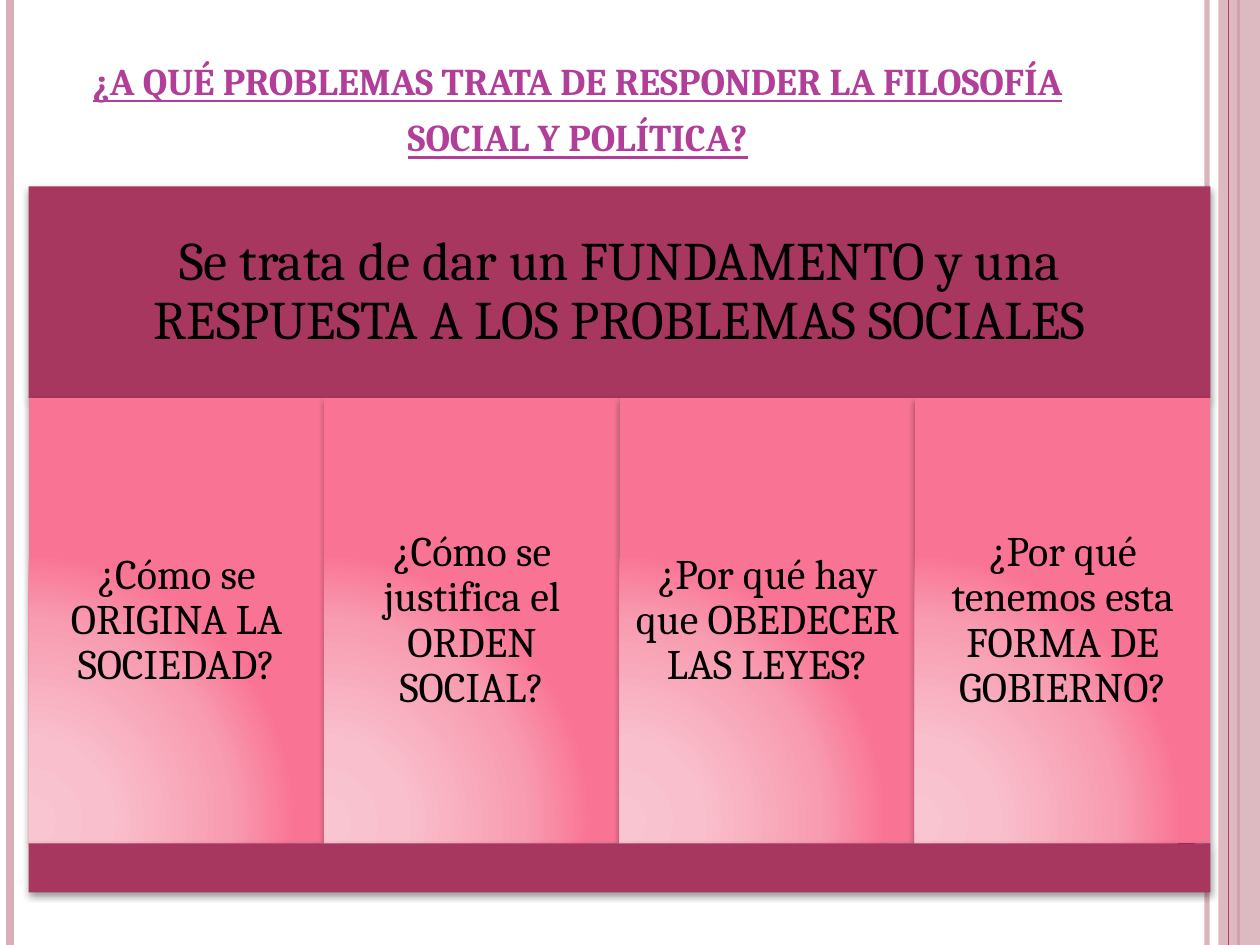
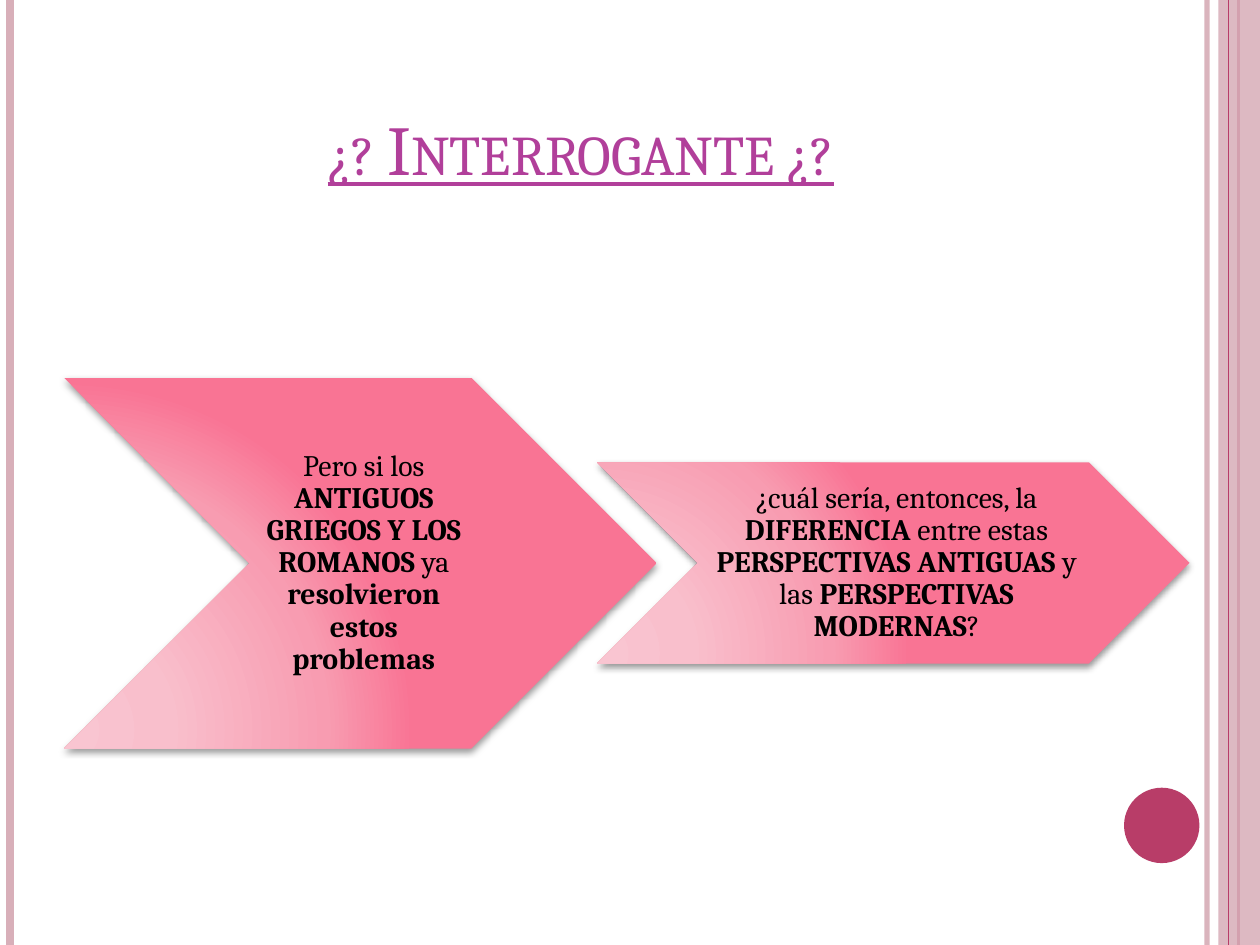
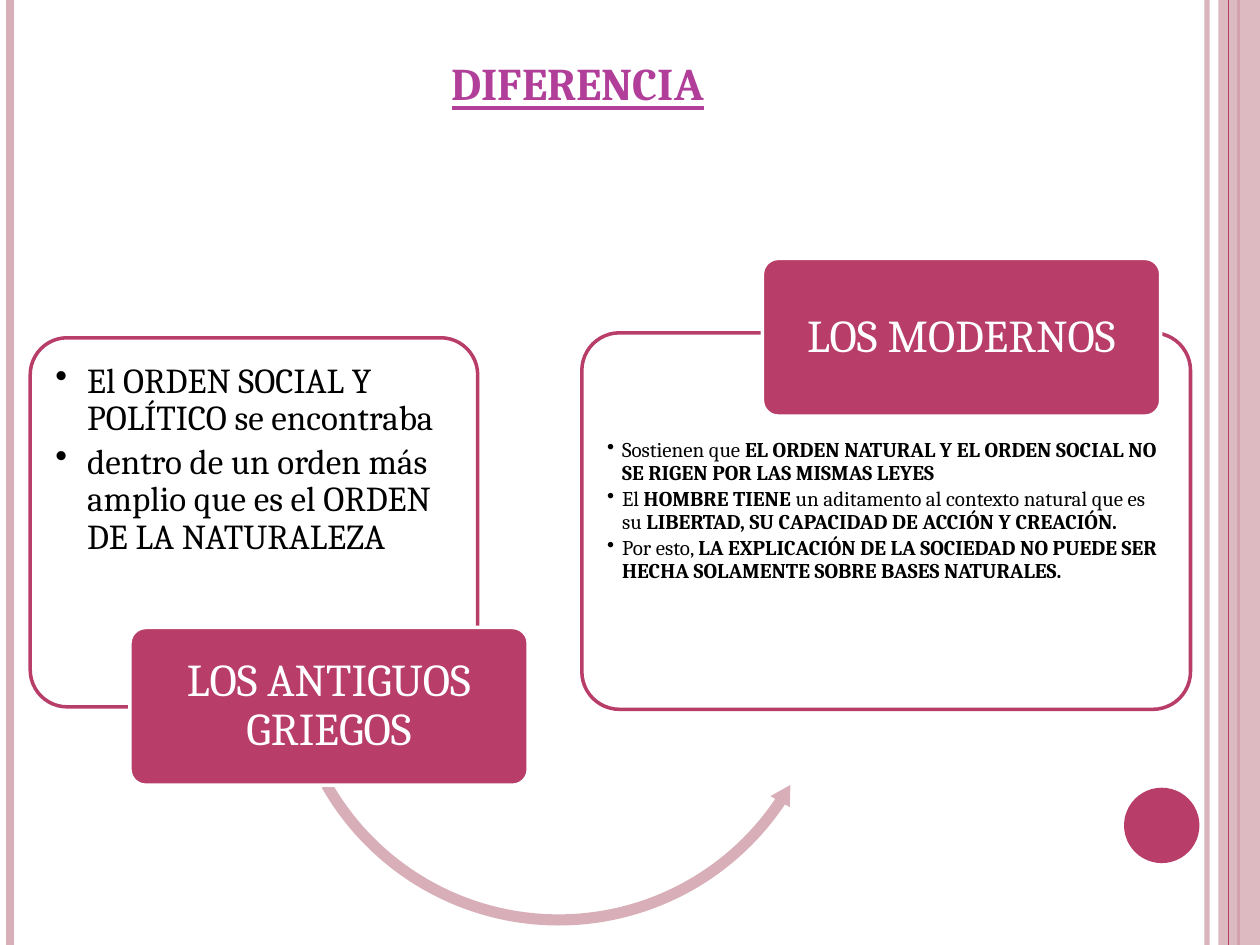
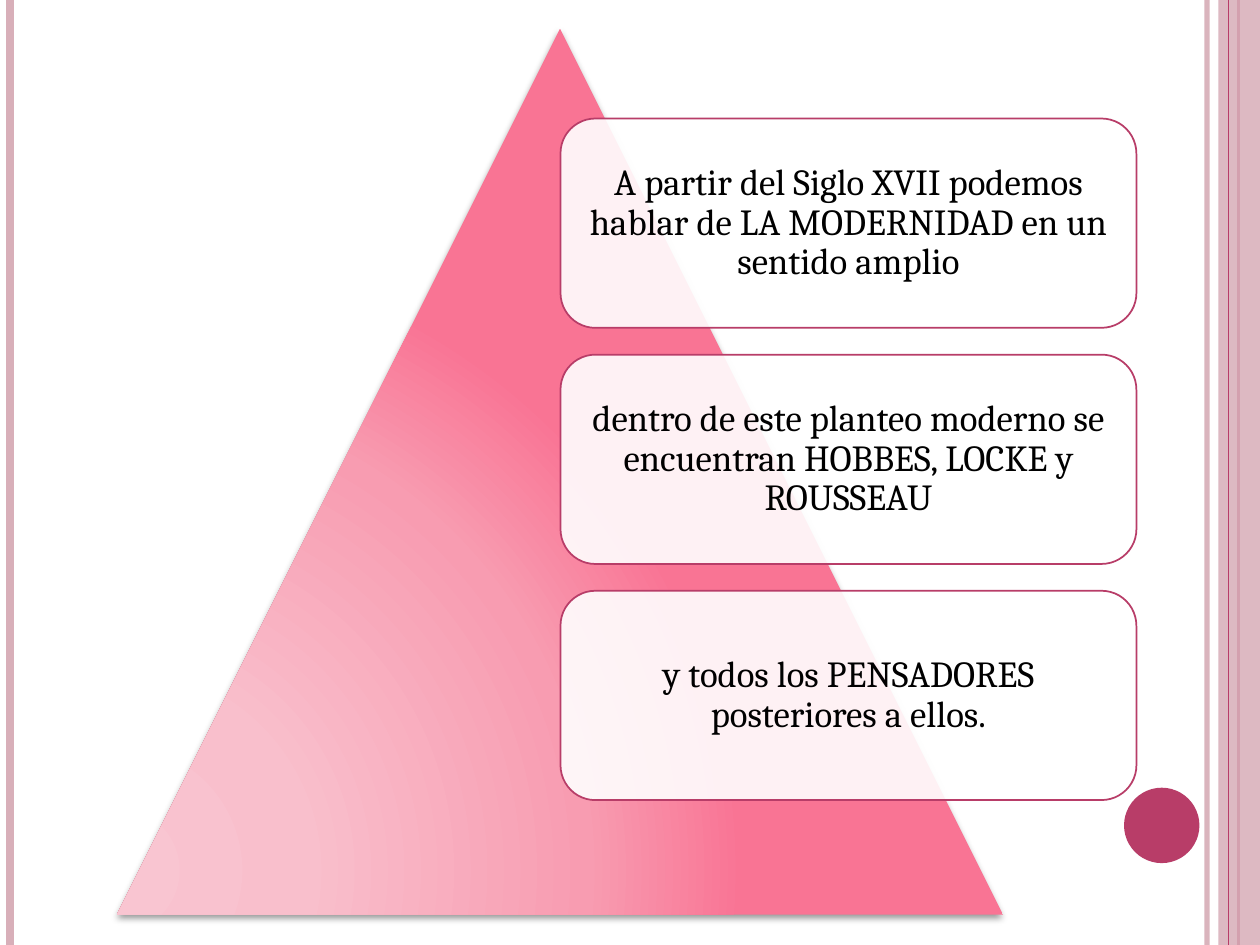
from lxml.etree import SubElement
from pptx import Presentation
from pptx.dml.color import RGBColor
from pptx.enum.shapes import MSO_CONNECTOR, MSO_SHAPE as Form
from pptx.enum.text import MSO_ANCHOR as Anchor, MSO_AUTO_SIZE as AutoSize, PP_ALIGN as Align
from pptx.oxml import parse_xml
from pptx.oxml.ns import nsdecls, qn
from pptx.util import Cm, Pt

FONT = "Cambria"
WHITE, BLACK = "FFFFFF", "000000"
ROSE, BERRY, WINE, VIOLET = "D8AFB9", "B83D68", "A7375E", "B13F9A"
GLOW = ((0, "F9C5D1"), (30, "F9BFCC"), (75, "F89CB1"), (100, "F97494"))
WIDTH, HEIGHT = 25.4, 19.05
TITLE_ONLY, BLANK = 5, 6


def paint(fill, color):
    """Give a fill, line or font one solid colour."""
    fill.solid()
    fill.fore_color.rgb = RGBColor.from_string(color)


def fade(shape, opacity):
    """Make the first solid colour of a shape partly transparent."""
    color = shape.element.spPr.find(".//" + qn("a:solidFill"))[0]
    SubElement(color, qn("a:alpha"), val=str(opacity * 1000))


def add_glow(shape):
    """Fill a shape with the pink gradient that spreads from its lower left."""
    shape.fill.background()
    stops = "".join(
        f'<a:gs pos="{place * 1000}"><a:srgbClr val="{color}"/></a:gs>' for place, color in GLOW
    )
    gradient = parse_xml(
        f'<a:gradFill {nsdecls("a")} rotWithShape="1"><a:gsLst>{stops}</a:gsLst>'
        '<a:path path="circle"><a:fillToRect l="5000" t="100000" r="120000" b="10000"/>'
        "</a:path></a:gradFill>"
    )
    properties = shape.element.spPr
    properties.replace(properties.find(qn("a:noFill")), gradient)


def add_shadow(shape):
    """Cast a soft shadow below a shape."""
    effects = shape.element.spPr.find(qn("a:effectLst"))
    effects.append(parse_xml(
        f'<a:outerShdw {nsdecls("a")} blurRad="{Pt(4)}" dist="{Pt(2)}" dir="5400000" '
        'rotWithShape="0"><a:srgbClr val="000000"><a:alpha val="40000"/></a:srgbClr></a:outerShdw>'
    ))


def add_block(slide, form, box, color=None, outline=None, weight=1, shadow=False):
    """Add a preset shape, glowing pink unless a colour is given."""
    block = slide.shapes.add_shape(form, *map(Cm, box))
    block.shadow.inherit = False
    if color:
        paint(block.fill, color)
    else:
        add_glow(block)
    if outline:
        paint(block.line.fill, outline)
        block.line.width = Pt(weight)
    else:
        block.line.fill.background()
    if shadow:
        add_shadow(block)
    return block


def add_rule(slide, x, color, weight):
    """Add a vertical line over the full height of the slide."""
    rule = slide.shapes.add_connector(MSO_CONNECTOR.STRAIGHT, Cm(x), 0, Cm(x), Cm(HEIGHT))
    paint(rule.line.fill, color)
    rule.line.width = Pt(weight)
    SubElement(rule.element.spPr, qn("a:effectLst"))
    return rule


def add_run(paragraph, text, size, color, bold=False):
    """Append one formatted run."""
    run = paragraph.add_run()
    run.text = text
    run.font.name = FONT
    run.font.size = Pt(size)
    run.font.bold = bold
    paint(run.font.fill, color)
    return run


def write(paragraph, pieces, size, color):
    """Write pieces that are plain and bold by turns."""
    paragraph.line_spacing = 0.9
    for index, piece in enumerate(pieces):
        add_run(paragraph, piece, size, color, bold=index % 2 == 1)


def set_frame(frame, insets, anchor):
    """Set wrapping, insets (left, top, right, bottom) and anchor of a text frame."""
    frame.word_wrap = True
    frame.vertical_anchor = anchor
    frame.margin_left, frame.margin_top, frame.margin_right, frame.margin_bottom = map(Cm, insets)


def add_caption(block, pieces, size, insets, color=BLACK):
    """Centre one paragraph in a shape."""
    set_frame(block.text_frame, insets, Anchor.MIDDLE)
    paragraph = block.text_frame.paragraphs[0]
    paragraph.alignment = Align.CENTER
    write(paragraph, pieces, size, color)


def add_bullets(block, items, size, indent, top):
    """List bulleted paragraphs from the top of a shape."""
    frame = block.text_frame
    set_frame(frame, (0.29, top, 0.29, 0.29), Anchor.TOP)
    for index, pieces in enumerate(items):
        paragraph = frame.add_paragraph() if index else frame.paragraphs[0]
        paragraph.alignment = Align.LEFT
        paragraph.level = 1
        paragraph.space_after = Pt(round(size * 0.15))
        write(paragraph, pieces, size, BLACK)
        properties = paragraph._p.get_or_add_pPr()
        properties.set("marL", str(Cm(indent)))
        properties.set("indent", str(-Cm(indent)))
        SubElement(properties, qn("a:buChar"), char="•")


def set_title(slide, text, box, size, bold=False):
    """Place the title and write it in underlined violet small capitals."""
    title = slide.shapes.title
    title.left, title.top, title.width, title.height = map(Cm, box)
    frame = title.text_frame
    frame.auto_size = AutoSize.NONE
    frame.vertical_anchor = Anchor.BOTTOM
    frame.paragraphs[0].alignment = Align.CENTER
    run = add_run(frame.paragraphs[0], text, size, VIOLET, bold)
    run.font.underline = True
    run.font._element.set("cap", "small")


def share_borders(slide, master):
    """Draw the side bands and the disc, and hand them to the master."""
    fade(add_rule(slide, 24.33, ROSE, 3), 93)
    add_rule(slide, 0.2, ROSE, 4.5)
    add_rule(slide, 24.97, BERRY, 1.5)
    fade(add_block(slide, Form.RECTANGLE, (24.56, 0, WIDTH - 24.56, HEIGHT), ROSE), 87)
    add_rule(slide, 24.77, BERRY, 0.75)
    add_block(slide, Form.OVAL, (22.66, 15.88, 1.52, 1.52), BERRY)
    borders = [shape for shape in slide.shapes if not shape.is_placeholder]
    for number, border in enumerate(borders, start=20):
        border.element.xpath(".//p:cNvPr")[0].set("id", str(number))
        master.element.cSld.spTree.append(border.element)


def build_problems(slide):
    """Fill the slide on the problems of social philosophy."""
    set_title(slide, "¿a qué problemas trata de responder la filosofía social y política?",
              (1.27, 1.4, 20.75, 1.98), 27, bold=True)
    left, width = 0.58, 23.82
    answer = add_block(slide, Form.RECTANGLE, (left, 3.76, width, 4.27), WINE, shadow=True)
    add_caption(answer, ["Se trata de dar un FUNDAMENTO y una RESPUESTA A LOS PROBLEMAS SOCIALES"],
                31, (0.33,) * 4)
    questions = (
        "¿Cómo se ORIGINA LA SOCIEDAD?",
        "¿Cómo se justifica el ORDEN SOCIAL?",
        "¿Por qué hay que OBEDECER LAS LEYES?",
        "¿Por qué tenemos esta FORMA DE GOBIERNO?",
    )
    column = width / len(questions)
    for index, question in enumerate(questions):
        box = (left + index * column, 8.03, column, 8.97)
        add_caption(add_block(slide, Form.RECTANGLE, box, shadow=True), [question], 24, (0.25,) * 4)
    add_block(slide, Form.RECTANGLE, (left, 17, width, 0.99), WINE, shadow=True)


def build_question(slide):
    """Fill the slide that asks for the difference."""
    set_title(slide, "¿? Interrogante ¿?", (1.4, 0.76, 20.62, 3.18), 40)
    steps = (
        ((1.3, 7.62, 11.94, 7.47),
         ["Pero si los ", "ANTIGUOS GRIEGOS Y LOS ROMANOS ", "ya ", "resolvieron estos problemas"]),
        ((12.04, 9.32, 11.94, 4.06),
         ["¿cuál sería, entonces, la ", "DIFERENCIA", " entre estas ", "PERSPECTIVAS ANTIGUAS",
          " y las ", "PERSPECTIVAS MODERNAS", "?"]),
    )
    for box, pieces in steps:
        step = add_block(slide, Form.CHEVRON, box, shadow=True)
        add_caption(step, pieces, 17, (0.18, 0.05, 0.05, 0.05))


def add_view(slide, box, items, size, indent, top):
    """Add an outlined card with the view of one group of thinkers."""
    view = add_block(slide, Form.ROUNDED_RECTANGLE, box, WHITE, BERRY, 2)
    view.adjustments[0] = 0.1
    fade(view, 90)
    add_bullets(view, items, size, indent, top)


def add_group_name(slide, left, top, name):
    """Add the solid label that names a group of thinkers."""
    label = add_block(slide, Form.ROUNDED_RECTANGLE, (left, top, 8.03, 3.18), BERRY, WHITE, 2)
    label.adjustments[0] = 0.1
    add_caption(label, [name], 26, (0.13, 0.1, 0.13, 0.1), WHITE)


def build_difference(slide):
    """Fill the slide that sets the ancients against the moderns."""
    set_title(slide, "diferencia", (1.27, 0.76, 20.75, 1.63), 32.4, bold=True)
    add_view(slide, (0.61, 6.81, 9.02, 7.44), (
        ["El ORDEN SOCIAL Y POLÍTICO se encontraba"],
        ["dentro de un orden más amplio que es el ORDEN DE LA NATURALEZA"],
    ), 20, 0.64, 0.29)
    passage = add_block(slide, Form.LEFT_CIRCULAR_ARROW, (5.66, 7.57, 11.2, 11.2), ROSE)
    for index, value in enumerate((0.02, 2.52, 20.28, 90.25, 0.02)):
        passage.adjustments[index] = value
    add_group_name(slide, 2.62, 12.65, "LOS ANTIGUOS GRIEGOS")
    add_view(slide, (11.73, 6.71, 12.27, 7.59), (
        ["Sostienen que ", "EL ORDEN NATURAL Y EL ORDEN SOCIAL NO SE RIGEN POR LAS MISMAS LEYES"],
        ["El ", "HOMBRE TIENE ", "un aditamento al contexto natural que es su ",
         "LIBERTAD, SU CAPACIDAD DE ACCIÓN Y CREACIÓN."],
        ["Por esto, ",
         "LA EXPLICACIÓN DE LA SOCIEDAD NO PUEDE SER HECHA SOLAMENTE SOBRE BASES NATURALES."],
    ), 12, 0.3, 1.93)
    add_group_name(slide, 15.37, 5.21, "LOS MODERNOS")


def build_modernity(slide):
    """Fill the slide on modernity and its thinkers."""
    add_block(slide, Form.ISOSCELES_TRIANGLE, (2.36, 0.58, 17.86, 17.86), shadow=True)
    stages = (
        "A partir del Siglo XVII podemos hablar de LA MODERNIDAD en un sentido amplio",
        "dentro de este planteo moderno se encuentran HOBBES, LOCKE y ROUSSEAU",
        "y todos los PENSADORES posteriores a ellos.",
    )
    for index, stage in enumerate(stages):
        box = (11.3, 2.39 + index * 4.76, 11.61, 4.22)
        card = add_block(slide, Form.ROUNDED_RECTANGLE, box, WHITE, BERRY)
        fade(card, 90)
        add_caption(card, [stage], 21, (0.23,) * 4)


def main():
    """Build and save the presentation."""
    deck = Presentation()
    deck.slide_width, deck.slide_height = Cm(WIDTH), Cm(HEIGHT)
    pages = (
        (TITLE_ONLY, build_problems),
        (TITLE_ONLY, build_question),
        (TITLE_ONLY, build_difference),
        (BLANK, build_modernity),
    )
    for index, (layout, build) in enumerate(pages):
        slide = deck.slides.add_slide(deck.slide_layouts[layout])
        if index == 0:
            share_borders(slide, deck.slide_master)
        build(slide)
    deck.save("out.pptx")


if __name__ == "__main__":
    main()
